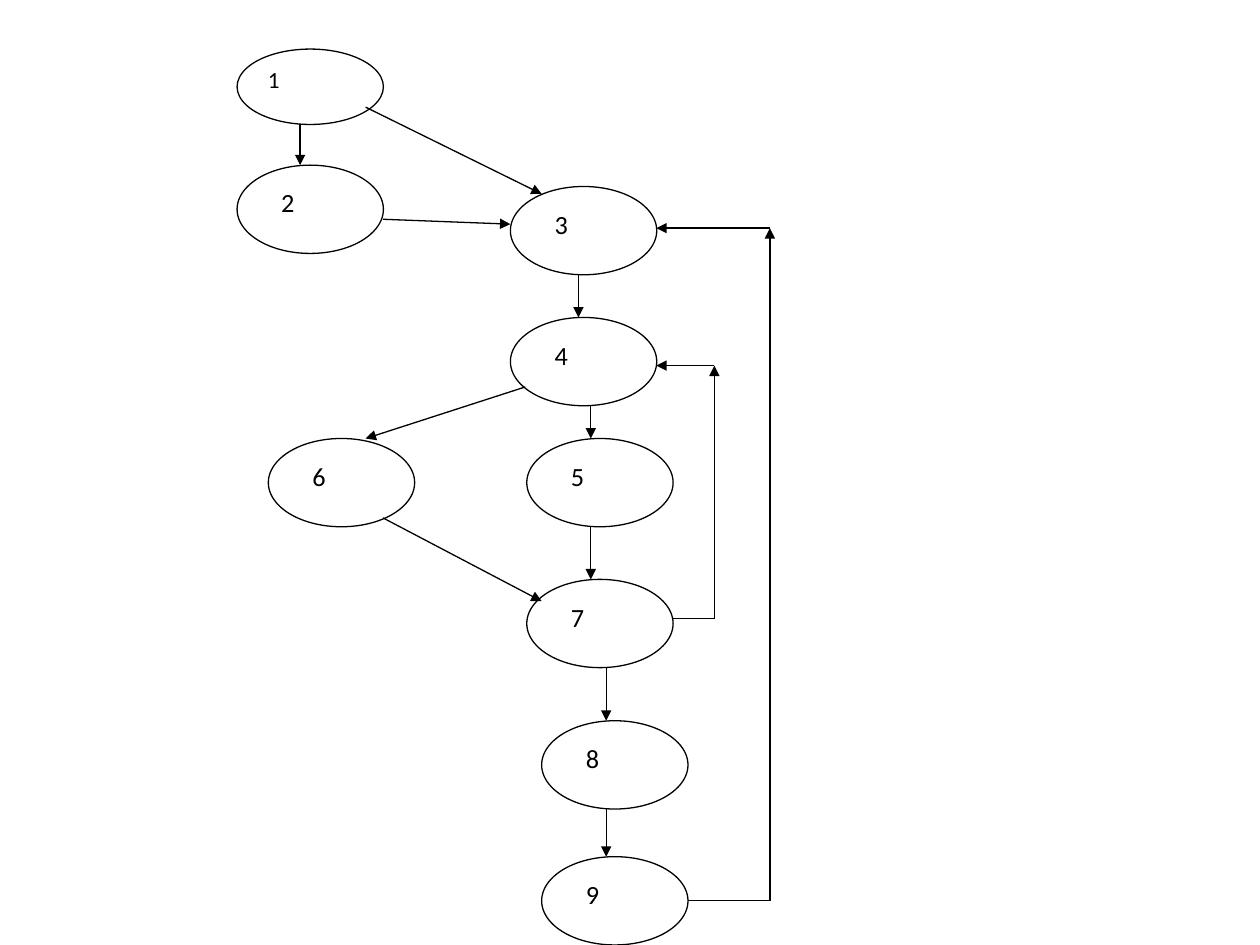
from pptx import Presentation
from pptx.dml.color import RGBColor
from pptx.enum.shapes import MSO_CONNECTOR, MSO_SHAPE
from pptx.enum.text import PP_ALIGN
from pptx.oxml.ns import qn
from pptx.util import Cm, Pt
from lxml import etree

ELLIPSE = MSO_SHAPE.OVAL
STRAIGHT = MSO_CONNECTOR.STRAIGHT
JUSTIFY = PP_ALIGN.JUSTIFY
BLACK = RGBColor(0x00, 0x00, 0x00)
WHITE = RGBColor(0xFF, 0xFF, 0xFF)

NODE_WIDTH, NODE_HEIGHT = 2.95, 1.78
LABEL_DX, LABEL_DY = 0.64, 0.43
LABEL_WIDTH, LABEL_HEIGHT = 1.68, 0.97

# Left and top of each full-size node, in cm
NODES = {
    "2": (4.78, 3.33),
    "3": (10.29, 3.76),
    "4": (10.29, 6.4),
    "6": (5.41, 8.84),
    "5": (10.62, 8.84),
    "7": (10.62, 11.68),
    "8": (10.92, 14.53),
    "9": (10.92, 17.27),
}

# Start and end of each arrow, in cm
EDGES = [
    ((6.05, 2.51), (6.05, 3.33)),      # 1 to 2
    ((7.37, 2.16), (10.92, 3.91)),     # 1 to 3
    ((7.72, 4.42), (10.29, 4.52)),     # 2 to 3
    ((11.66, 5.54), (11.66, 6.4)),     # 3 to 4
    ((10.59, 7.8), (7.37, 8.84)),      # 4 to 6
    ((11.91, 8.18), (11.91, 8.84)),    # 4 to 5
    ((11.91, 10.62), (11.91, 11.68)),  # 5 to 7
    ((7.72, 10.44), (10.92, 12.12)),   # 6 to 7
    ((12.22, 13.46), (12.22, 14.53)),  # 7 to 8
    ((12.22, 16.31), (12.22, 17.27)),  # 8 to 9
]

# Corner points of each way back, in cm
LOOPS = [
    [(13.57, 12.47), (14.4, 12.47), (14.4, 7.37), (13.23, 7.37)],   # 7 to 4
    [(13.87, 18.16), (15.52, 18.16), (15.52, 4.6), (13.23, 4.6)],   # 9 to 3
]


class FlowGraph:
    def __init__(self, slide, font="Calibri", line_width=0.75):
        self.shapes = slide.shapes
        self.font = font
        self.line_width = Pt(line_width)

    def outline(self, line):
        line.color.rgb = BLACK
        line.width = self.line_width

    def ellipse(self, left, top, width, height):
        node = self.shapes.add_shape(ELLIPSE, Cm(left), Cm(top), Cm(width), Cm(height))
        node.shadow.inherit = False
        node.fill.solid()
        node.fill.fore_color.rgb = WHITE
        self.outline(node.line)

    def label(self, number, left, top, width, height, size):
        box = self.shapes.add_textbox(Cm(left), Cm(top), Cm(width), Cm(height))
        box.fill.solid()
        box.fill.fore_color.rgb = WHITE
        box.text_frame.word_wrap = True
        paragraph = box.text_frame.paragraphs[0]
        paragraph.text = number
        paragraph.alignment = JUSTIFY
        paragraph.line_spacing = 0.8
        paragraph.font.name = self.font
        paragraph.font.size = Pt(size)
        paragraph.font.color.rgb = BLACK

    def node(self, number, left, top):
        """Draw a full-size ellipse with its number."""
        self.ellipse(left, top, NODE_WIDTH, NODE_HEIGHT)
        self.label(number, left + LABEL_DX, top + LABEL_DY,
                   LABEL_WIDTH, LABEL_HEIGHT, 15)

    def edge(self, start, end, arrowhead=True):
        connector = self.shapes.add_connector(STRAIGHT, *map(Cm, start + end))
        self.outline(connector.line)
        properties = connector._element.spPr
        if arrowhead:
            head = etree.SubElement(properties.find(qn("a:ln")), qn("a:tailEnd"))
            head.set("type", "triangle")
        etree.SubElement(properties, qn("a:effectLst"))

    def loop(self, corners):
        """Draw a way back: a plain exit, then arrows up and into the node."""
        for step, (start, end) in enumerate(zip(corners, corners[1:])):
            self.edge(start, end, arrowhead=step > 0)


def main():
    prs = Presentation()
    prs.slide_width, prs.slide_height = Cm(25.4), Cm(19.05)
    graph = FlowGraph(prs.slides.add_slide(prs.slide_layouts[6]))

    graph.ellipse(4.78, 0.99, NODE_WIDTH, 1.52)
    graph.label("1", 5.15, 1.3, 1.91, 0.89, 13.2)
    for number, (left, top) in NODES.items():
        graph.node(number, left, top)
    for start, end in EDGES:
        graph.edge(start, end)
    for corners in LOOPS:
        graph.loop(corners)

    prs.save("out.pptx")


if __name__ == "__main__":
    main()
